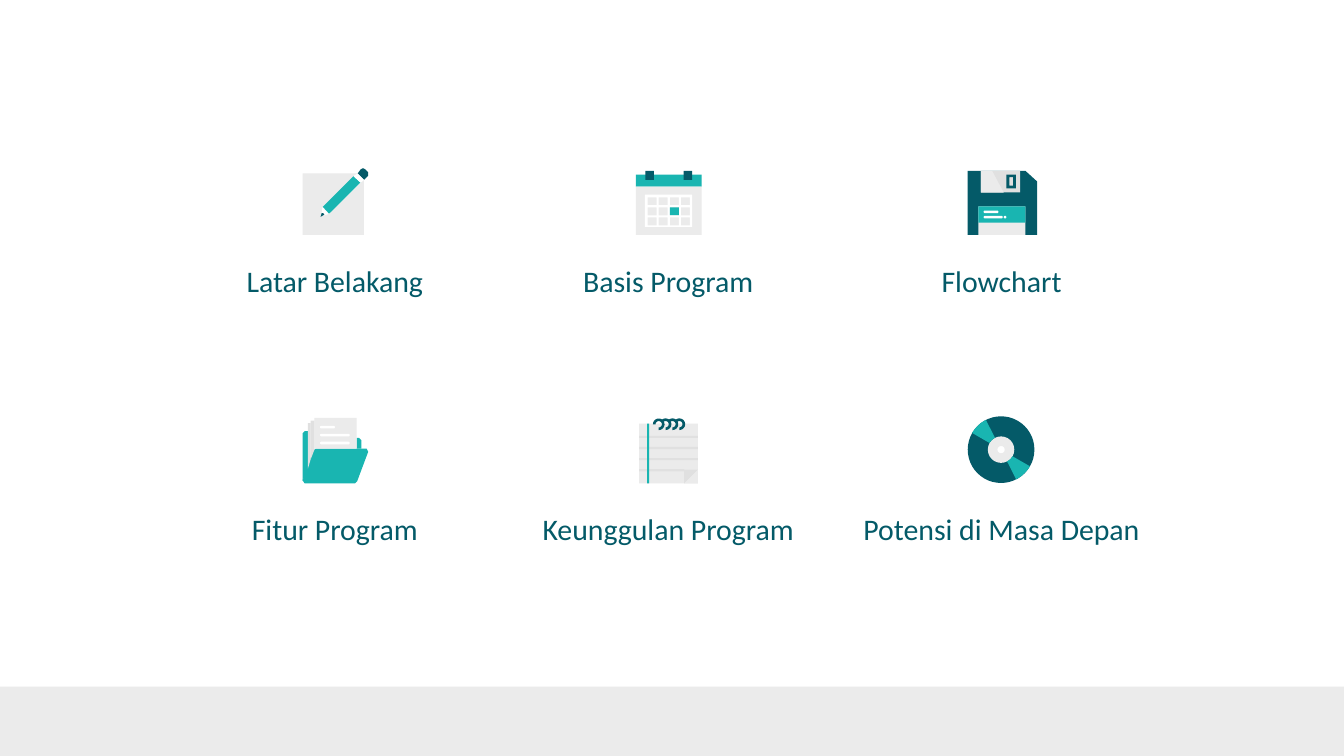
import math
from pptx import Presentation
from pptx import util as u
from pptx.dml import color
from pptx.enum import shapes, text

DARK, TEAL, PALE, GREY, WHITE = "045A68", "19B5B1", "EBEBEB", "E0E0E0", "FFFFFF"
PAGE_WIDTH, PAGE_HEIGHT = 25.4, 14.29
LABELS = [
    [("Latar Belakang", 5.51), ("Basis Program", 5.49), ("Flowchart", 5.51)],
    [("Fitur Program", 5.51), ("Keunggulan Program", 5.77), ("Potensi di Masa Depan", 6.02)],
]


def rgb(value):
    return color.RGBColor.from_string(value)


def paint(shape, fill):
    shape.fill.solid()
    shape.fill.fore_color.rgb = rgb(fill)
    shape.line.fill.background()
    shape.shadow.inherit = False
    return shape


def add_preset(parent, kind, left, top, width, height, fill):
    shape = parent.shapes.add_shape(kind, u.Cm(left), u.Cm(top), u.Cm(width), u.Cm(height))
    return paint(shape, fill)


def add_box(parent, left, top, width, height, fill):
    return add_preset(parent, shapes.MSO_SHAPE.RECTANGLE, left, top, width, height, fill)


def add_stroke(parent, left, top, width):
    kind = shapes.MSO_SHAPE.ROUNDED_RECTANGLE
    add_preset(parent, kind, left, top, width, 0.05, WHITE).adjustments[0] = 0.5


def add_ring(parent, x, y, outer, inner, fill):
    kind = shapes.MSO_SHAPE.DONUT
    ring = add_preset(parent, kind, x - outer, y - outer, 2 * outer, 2 * outer, fill)
    ring.adjustments[0] = (outer - inner) / (2 * outer)


def add_outline(parent, fill, *contours):
    first, *others = [[(u.Cm(x), u.Cm(y)) for x, y in contour] for contour in contours]
    builder = parent.shapes.build_freeform(*first[0])
    builder.add_line_segments(first[1:])
    for contour in others:
        builder.move_to(*contour[0])
        builder.add_line_segments(contour[1:])
    paint(builder.convert_to_shape(), fill)


def add_sector(parent, x, y, outer, inner, start, end, fill):
    steps = 16
    angles = [math.radians(start + (end - start) * i / steps) for i in range(steps + 1)]
    rim = [(x + outer * math.cos(a), y + outer * math.sin(a)) for a in angles]
    hub = [(x + inner * math.cos(a), y + inner * math.sin(a)) for a in reversed(angles)]
    add_outline(parent, fill, rim + hub)


def corners(left, top, width, height):
    right, bottom = left + width, top + height
    return [(left, top), (left, bottom), (right, bottom), (right, top)]


def add_label(slide, caption, centre, top, width):
    box = slide.shapes.add_textbox(u.Cm(centre - width / 2), u.Cm(top), u.Cm(width), u.Cm(0.76))
    frame = box.text_frame
    frame.text = caption
    frame.word_wrap = True
    frame.vertical_anchor = text.MSO_ANCHOR.MIDDLE
    frame.margin_left = frame.margin_right = u.Cm(0.25)
    frame.margin_top = frame.margin_bottom = u.Cm(0.25)
    paragraph = frame.paragraphs[0]
    paragraph.alignment = text.PP_ALIGN.CENTER
    font = paragraph.runs[0].font
    font.name, font.size = "Calibri", u.Pt(16)
    font.color.rgb = rgb(DARK)


def draw_pencil(icon):
    add_outline(icon, PALE, [(5.72, 3.28), (5.72, 4.44), (6.88, 4.44), (6.88, 3.4),
                             (6.22, 4.04), (6.07, 4.09), (6.1, 3.91), (6.76, 3.28)])
    add_outline(icon, WHITE, [(6.1, 3.91), (6.07, 4.09), (6.22, 4.04)])
    add_outline(icon, DARK, [(6.08, 4.03), (6.06, 4.1), (6.13, 4.06), (6.11, 4.03)])
    add_outline(icon, TEAL, [(6.68, 3.33), (6.1, 3.91), (6.22, 4.04), (6.81, 3.45)])
    add_outline(icon, DARK, [(6.76, 3.28), (6.82, 3.2), (6.86, 3.18), (6.9, 3.2),
                             (6.96, 3.26), (6.96, 3.32), (6.88, 3.4)])
    add_outline(icon, WHITE, [(6.76, 3.28), (6.68, 3.33), (6.81, 3.45), (6.88, 3.4)])


def draw_calendar(icon):
    add_box(icon, 12.02, 3.3, 1.24, 0.23, TEAL)
    add_box(icon, 12.02, 3.53, 1.24, 0.91, PALE)
    days = [corners(12.24 + 0.21 * column, 3.73 + 0.19 * row, 0.17, 0.15)
            for row in range(3) for column in range(4)]
    add_outline(icon, WHITE, corners(12.19, 3.68, 0.89, 0.61), *days)
    for left in (12.2, 12.92):
        add_box(icon, left, 3.23, 0.16, 0.17, DARK)
    add_box(icon, 12.66, 3.92, 0.17, 0.15, TEAL)


def draw_floppy(icon):
    add_outline(icon, DARK, [(18.29, 3.23), (18.29, 4.44), (19.6, 4.44), (19.6, 3.43), (19.38, 3.23)])
    add_box(icon, 18.49, 3.9, 0.89, 0.54, PALE)
    add_box(icon, 18.49, 3.9, 0.89, 0.31, TEAL)
    add_box(icon, 18.54, 3.23, 0.74, 0.41, GREY)
    for top, width in ((3.98, 0.28), (4.08, 0.36)):
        add_stroke(icon, 18.59, top, width)
    add_preset(icon, shapes.MSO_SHAPE.OVAL, 18.97, 4.08, 0.05, 0.05, WHITE)
    add_outline(icon, PALE, [(18.54, 3.23), (18.54, 3.64), (18.97, 3.64), (18.75, 3.23)])
    add_outline(icon, DARK, corners(19.02, 3.3, 0.18, 0.26), corners(19.08, 3.35, 0.07, 0.16))


def draw_folder(icon):
    add_outline(icon, TEAL, [(5.97, 8.48), (5.92, 8.52), (5.72, 9.08), (5.76, 9.14),
                             (6.71, 9.14), (6.75, 9.1), (6.96, 8.54), (6.93, 8.48)])
    add_outline(icon, TEAL, [(6.74, 8.28), (6.74, 8.48), (6.83, 8.48), (6.83, 8.32), (6.79, 8.28)])
    add_outline(icon, TEAL, [(5.76, 8.15), (5.72, 8.19), (5.72, 9.09), (5.82, 8.86), (5.82, 8.15)])
    add_box(icon, 5.94, 7.9, 0.8, 0.58, PALE)
    for top, width in ((8.05, 0.28), (8.2, 0.56), (8.35, 0.56)):
        add_stroke(icon, 6.05, top, width)
    add_outline(icon, GREY, [(5.87, 7.95), (5.87, 8.69), (5.94, 8.51), (5.94, 7.95)])
    add_outline(icon, GREY, [(5.82, 8), (5.82, 8.86), (5.87, 8.69), (5.87, 8)])


def draw_notepad(icon):
    left, top, width, height = 12.08, 8.01, 1.11, 1.13
    right, bottom, fold = left + width, top + height, 0.26
    add_box(icon, left, top, width, height, PALE)
    for i in range(4):
        add_sector(icon, 12.45 + 0.13 * i, 8.02, 0.11, 0.06, 230 if i else 180, 450, DARK)
    for i in range(4):
        length = width if i < 3 else width - fold
        add_box(icon, left, 8.24 + 0.21 * i, length, 0.04, GREY)
    lower, upper = (right - fold, bottom), (right, bottom - fold)
    add_outline(icon, GREY, [(right - fold, bottom - fold), lower, upper])
    add_outline(icon, PALE, [upper, lower, (right, bottom)])
    add_box(icon, 12.23, top, 0.04, height, TEAL)


def draw_disc(icon):
    x, y, radius, hub = 18.92, 8.5, 0.63, 0.25
    add_ring(icon, x, y, radius, 0.16, DARK)
    add_ring(icon, x, y, hub, 0.07, PALE)
    for start in (30, 210):
        add_sector(icon, x, y, radius, hub, start, start + 33, TEAL)


def main():
    presentation = Presentation()
    presentation.slide_width, presentation.slide_height = u.Cm(PAGE_WIDTH), u.Cm(PAGE_HEIGHT)
    slide = presentation.slides.add_slide(presentation.slide_layouts[6])
    add_box(slide, 0, 12.98, PAGE_WIDTH, PAGE_HEIGHT - 12.98, PALE)
    for row, captions in enumerate(LABELS):
        for column, (caption, width) in enumerate(captions):
            add_label(slide, caption, 6.33 + 6.3 * column, 4.93 + 4.68 * row, width)
    for draw in (draw_folder, draw_pencil, draw_calendar, draw_floppy, draw_disc, draw_notepad):
        draw(slide.shapes.add_group_shape())
    presentation.save("out.pptx")


if __name__ == "__main__":
    main()
